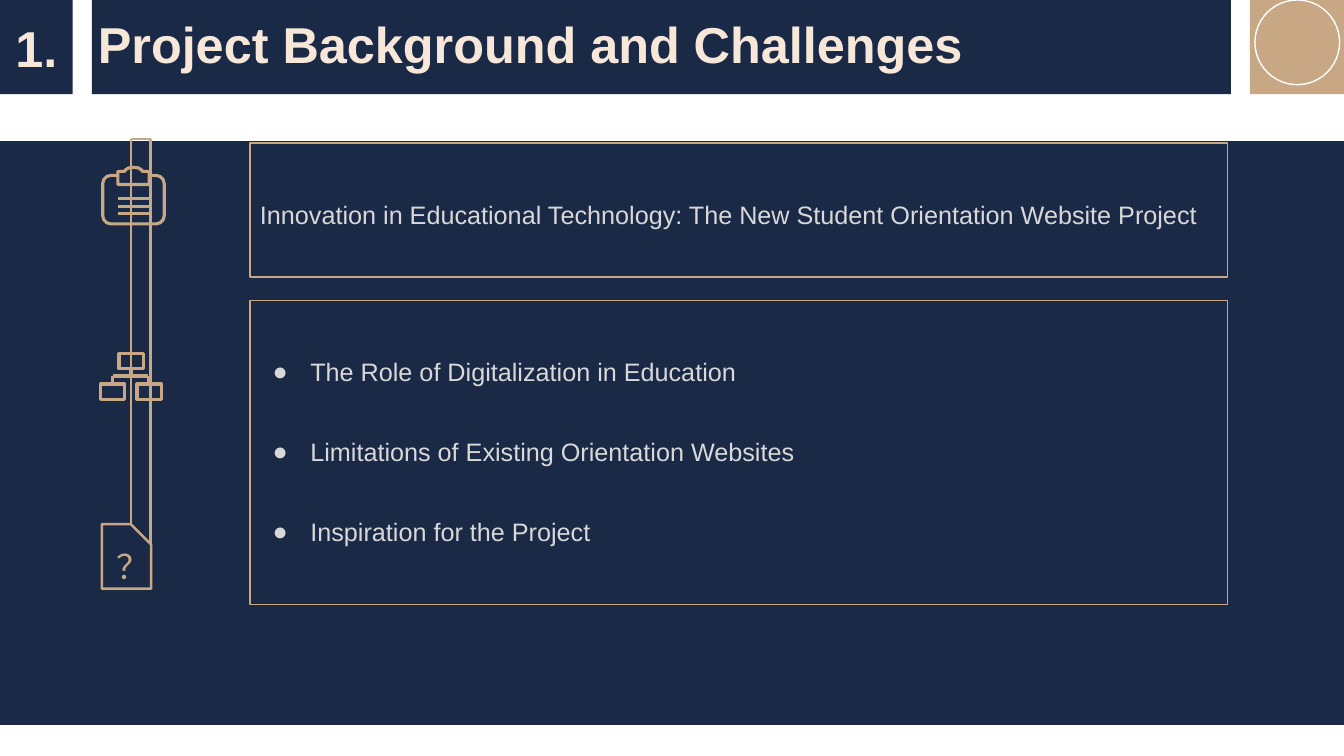
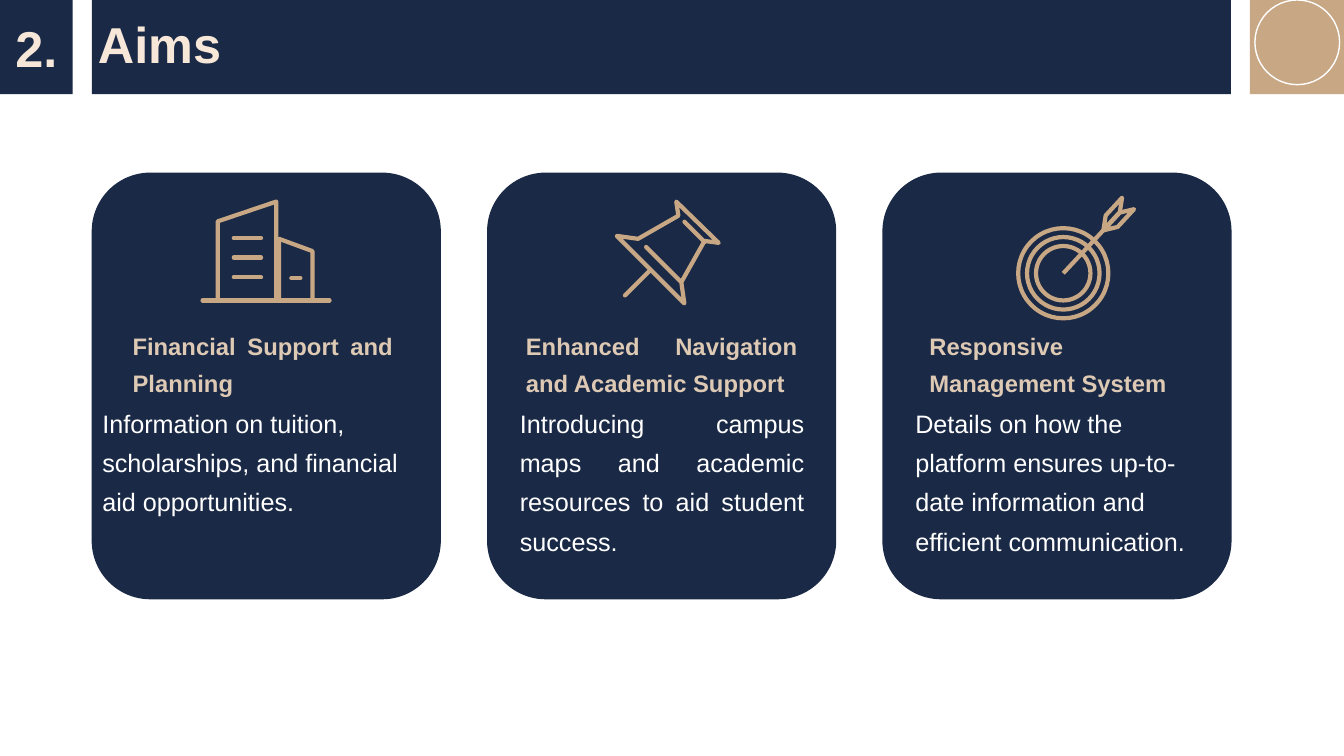
from lxml import etree
from pptx import Presentation
from pptx.dml.color import RGBColor
from pptx.enum.shapes import MSO_CONNECTOR, MSO_SHAPE
from pptx.enum.text import MSO_ANCHOR, MSO_AUTO_SIZE, PP_ALIGN
from pptx.oxml.ns import qn
from pptx.util import Pt

RECT, ROUND, OVAL = MSO_SHAPE.RECTANGLE, MSO_SHAPE.ROUNDED_RECTANGLE, MSO_SHAPE.OVAL
SHEET, TOWER = MSO_SHAPE.SNIP_1_RECTANGLE, MSO_SHAPE.FLOWCHART_MANUAL_INPUT
FEATHER = MSO_SHAPE.PARALLELOGRAM
STRAIGHT = MSO_CONNECTOR.STRAIGHT
TOP, MIDDLE = MSO_ANCHOR.TOP, MSO_ANCHOR.MIDDLE
LEFT, CENTER, JUSTIFY = PP_ALIGN.LEFT, PP_ALIGN.CENTER, PP_ALIGN.JUSTIFY

FONT = "Arial"
NAVY, TAN, CREAM = "1A2946", "C8A784", "F7E7D9"
SAND, GREY, WHITE = "DDC9B4", "D8D8D8", "FFFFFF"

BACKGROUND_TITLE = "Project Background and Challenges"
AIMS_TITLE = "Aims"
PROJECT = "Innovation in Educational Technology: The New Student Orientation Website Project"
CHALLENGES = [
    "The Role of Digitalization in Education",
    "Limitations of Existing Orientation Websites",
    "Inspiration for the Project",
]
AIMS = [
    {"heading": "Financial Support and Planning", "heading_at": (21.6, 200.2),
     "body": "Information on tuition, scholarships, and financial aid opportunities.",
     "body_at": (0, 248.4), "align": LEFT},
    {"heading": "Enhanced Navigation and Academic Support", "heading_at": (20.1, 208.1),
     "body": "Introducing campus maps and academic resources to aid student success.",
     "body_at": (15.8, 217.4), "align": JUSTIFY},
    {"heading": "Responsive Management System", "heading_at": (25.9, 193),
     "body": "Details on how the platform ensures up-to-date information and efficient communication.",
     "body_at": (15.9, 217.4), "align": LEFT},
]

CLIP = [(95.4, 119.5), (99, 120), (101.5, 121.7), (101.5, 122.4), (106.6, 122.4),
        (106.6, 131.8), (84.2, 131.8), (84.2, 122.4), (89.3, 122.4), (89.3, 121.7),
        (91.8, 120)]
CLIPBOARD_LINES = [(84.2, y, 106.6, y) for y in (142, 147.4, 152.8)]
CHART_BOXES = [(85, 252.7), (72, 274.3), (97.9, 274.3)]
CHART_LINES = [(93.6, 263.5, 93.6, 268.6), (80.6, 268.6, 105.8, 268.6),
               (80.6, 268.6, 80.6, 274.3), (105.8, 268.6, 105.8, 274.3)]
RAIL = [(93.6, 375, 93.6, 99.4), (93.6, 99.4, 107.6, 99.4), (107.6, 99.4, 107.6, 388.8)]

BUILDING_LINES = [(167, y, 186.5, y) for y in (170, 184, 198)] + [
    (208.1, 198.7, 214.6, 198.7), (144.7, 214.6, 235.4, 214.6)]
TARGET = (759.5, 195.2)
RING_SIZES = (64.4, 51.8, 38.9)
PIN = [(483.1, 144), (513.4, 173.5), (503.3, 172.1), (486.7, 201.6), (488.9, 216.7),
       (440.6, 168.5), (455.8, 170.6), (484.6, 154.1)]
PIN_LINES = [(503.3, 172.8, 488.9, 158.4), (486, 200.9, 461.5, 176.4),
             (446.4, 211, 464.4, 193)]


def color(value):
    return RGBColor.from_string(value)


def paint(shape, fill=NAVY, line=None, weight=1):
    shape.shadow.inherit = False
    if fill:
        shape.fill.solid()
        shape.fill.fore_color.rgb = color(fill)
    else:
        shape.fill.background()
    if line:
        shape.line.color.rgb = color(line)
        shape.line.width = Pt(weight)
    else:
        shape.line.fill.background()
    return shape


def add_preset(page, kind, area, fill=NAVY, line=None, weight=1, rotation=0, adjust=None, flip=False):
    shape = paint(page.shapes.add_shape(kind, *map(Pt, area)), fill, line, weight)
    shape.rotation = rotation
    if adjust is not None:
        shape.adjustments[0] = adjust
    if flip:
        shape._element.spPr.find(qn("a:xfrm")).set("flipH", "1")
    return shape


def add_outline(page, points, fill, weight):
    corners = [(Pt(x), Pt(y)) for x, y in points]
    builder = page.shapes.build_freeform(*corners[0], scale=1.0)
    builder.add_line_segments(corners[1:], close=True)
    return paint(builder.convert_to_shape(), fill, TAN, weight)


def add_lines(page, lines, weight, cap="flat"):
    for ends in lines:
        connector = page.shapes.add_connector(STRAIGHT, *map(Pt, ends))
        connector.line.color.rgb = color(TAN)
        connector.line.width = Pt(weight)
        properties = connector._element.spPr
        properties.find(qn("a:ln")).set("cap", cap)
        etree.SubElement(properties, qn("a:effectLst"))


def write(shape, texts, size, tint, bold=False, align=LEFT, spacing=1.0, anchor=TOP,
          bullet=None, gap=0):
    frame = shape.text_frame
    frame.word_wrap = True
    frame.auto_size = MSO_AUTO_SIZE.NONE
    frame.vertical_anchor = anchor
    for index, text in enumerate(texts):
        para = frame.add_paragraph() if index else frame.paragraphs[0]
        para.alignment = align
        para.line_spacing = spacing
        para.space_before = Pt(gap if index else 0)
        if bullet:
            add_bullet(para, bullet, tint)
        span = para.add_run()
        span.text = text
        span.font.name = FONT
        span.font.size = Pt(size)
        span.font.bold = bold
        span.font.color.rgb = color(tint)
    return frame


def add_bullet(para, mark, tint):
    properties = para._p.get_or_add_pPr()
    properties.set("marL", str(Pt(36)))
    properties.set("indent", str(Pt(-27)))
    bullet_color = etree.SubElement(properties, qn("a:buClr"))
    etree.SubElement(bullet_color, qn("a:srgbClr")).set("val", tint)
    etree.SubElement(properties, qn("a:buFont")).set("typeface", FONT)
    etree.SubElement(properties, qn("a:buChar")).set("char", mark)


def add_text(page, area, text, size, tint, **style):
    return write(page.shapes.add_textbox(*map(Pt, area)), [text], size, tint, **style)


def add_page(deck, number, heading):
    page = deck.slides.add_slide(deck.slide_layouts[5])
    title = page.shapes.title
    title.left, title.top, title.width, title.height = map(Pt, (65.6, 0, 813.6, 67.2))
    title.fill.solid()
    title.fill.fore_color.rgb = color(NAVY)
    frame = write(title, [heading], 36, CREAM, bold=True)
    frame.margin_left, frame.margin_top = Pt(4.3), Pt(9.4)
    badge = add_preset(page, RECT, (0, 0, 52, 67.2))
    write(badge, [f"{number}."], 36, CREAM, bold=True, align=CENTER, anchor=MIDDLE)
    add_preset(page, RECT, (892.8, 0, 67.2, 67.2), TAN)
    add_preset(page, OVAL, (896.4, 0, 60.5, 60.5), None, WHITE)
    return page


def build_background(deck):
    page = add_page(deck, 1, BACKGROUND_TITLE)
    add_preset(page, RECT, (0, 100.8, 960, 417))
    project = add_preset(page, RECT, (178.6, 102.2, 698.4, 95.8), line=TAN)
    write(project, [PROJECT], 18, GREY, align=JUSTIFY, spacing=1.3, anchor=MIDDLE)
    challenges = add_preset(page, RECT, (178.6, 214.6, 698.4, 217.4), line=TAN)
    frame = write(challenges, CHALLENGES, 18, GREY, align=JUSTIFY, spacing=1.3,
                  anchor=MIDDLE, bullet="●", gap=29.2)
    frame.margin_bottom = Pt(11.6)

    add_preset(page, ROUND, (73.4, 125.3, 43.9, 34.6), NAVY, TAN, 2.25)
    add_lines(page, CLIPBOARD_LINES, 2.25)
    add_outline(page, CLIP, NAVY, 2.25)
    add_lines(page, CHART_LINES, 2.25)
    for left, top in CHART_BOXES:
        add_preset(page, RECT, (left, top, 17.3, 10.8), NAVY, TAN, 2.25)
    add_preset(page, SHEET, (72.7, 374.4, 35.3, 46.1), NAVY, TAN, 1.75, adjust=0.415)
    add_text(page, (76.3, 386.6, 40, 36), "？", 24, TAN)
    add_lines(page, RAIL, 1.75)


def build_aims(deck):
    page = add_page(deck, 2, AIMS_TITLE)
    for index, aim in enumerate(AIMS):
        left = 66 + index * 282.4
        add_preset(page, ROUND, (left, 123.8, 248.4, 303.8), NAVY, NAVY)
        shift, width = aim["heading_at"]
        add_text(page, (left + shift, 227.5, width, 54.7), aim["heading"], 17, SAND,
                 bold=True, align=JUSTIFY, spacing=1.3)
        shift, width = aim["body_at"]
        add_text(page, (left + shift, 281.5, width, 142), aim["body"], 18, WHITE,
                 align=aim["align"], spacing=1.3)

    add_preset(page, TOWER, (155.5, 144, 41.8, 70.6), NAVY, TAN, 3)
    add_preset(page, TOWER, (199.4, 170.6, 23.8, 43.9), NAVY, TAN, 3, flip=True)
    add_lines(page, BUILDING_LINES, 3, "rnd")

    add_outline(page, PIN, None, 3)
    add_lines(page, PIN_LINES, 3, "rnd")

    x, y = TARGET
    for size in RING_SIZES:
        add_preset(page, OVAL, (x - size / 2, y - size / 2, size, size), NAVY, TAN, 3)
    add_lines(page, [(x, y, 797.8, 154.1)], 3)
    for left, top, flip in ((781.9, 149.8, False), (786.2, 154.1, True)):
        add_preset(page, FEATHER, (left, top, 25.9, 5.8), NAVY, TAN, 3, 312.7, 1.49, flip)


def main():
    deck = Presentation()
    deck.slide_width, deck.slide_height = Pt(960), Pt(540)
    build_background(deck)
    build_aims(deck)
    deck.save("out.pptx")


if __name__ == "__main__":
    main()
